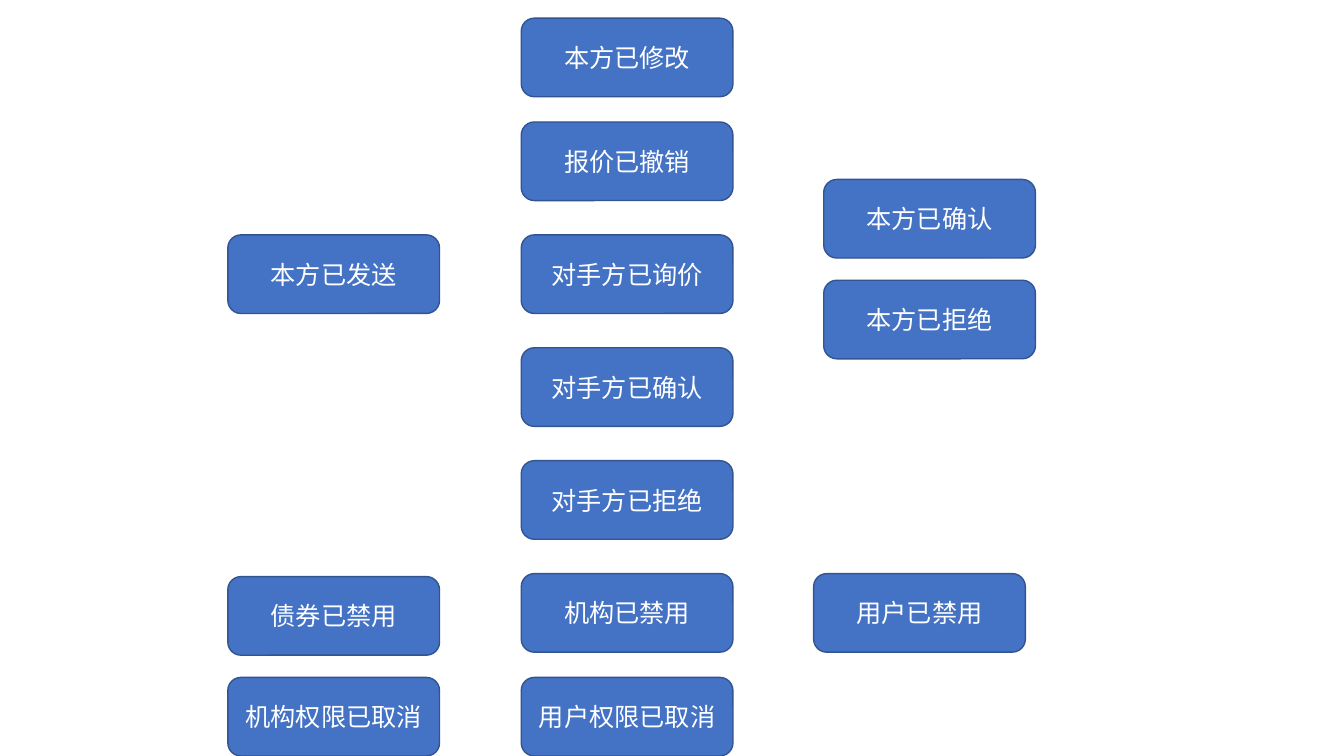
from typing import NamedTuple

from lxml import etree
from pptx import Presentation
from pptx.dml.color import RGBColor
from pptx.enum.shapes import MSO_SHAPE
from pptx.enum.text import MSO_ANCHOR, PP_ALIGN
from pptx.oxml.ns import qn
from pptx.util import Inches, Pt

ROUNDED = MSO_SHAPE.ROUNDED_RECTANGLE
MIDDLE = MSO_ANCHOR.MIDDLE
CENTER = PP_ALIGN.CENTER

COLORS = {"fill": "4472C4", "line": "325491", "text": "FFFFFF"}
FONT = "Noto Sans CJK SC"
FONT_FORMAT = {"name": FONT, "size": Pt(18)}
BOX_WIDTH, BOX_HEIGHT = 2.1, 0.78
LEFT, CENTRE, RIGHT = 2.26, 5.17, 8.17
QUOTE_TOP, QUOTE_STEP = 1.21, 1.12
CONFIRM_TOP = 1.78
DISABLED_TOP = 5.69
CANCELLED_TOP = 6.72


class Status(NamedTuple):
    text: str
    left: float
    top: float


def rgb(name: str) -> RGBColor:
    return RGBColor.from_string(COLORS[name])


def add_status(shapes, status: Status) -> None:
    sp = shapes.add_shape(ROUNDED, Inches(status.left), Inches(status.top),
                          Inches(BOX_WIDTH), Inches(BOX_HEIGHT))
    sp.shadow.inherit = False
    sp.fill.solid()
    sp.fill.fore_color.rgb = rgb("fill")
    sp.line.color.rgb = rgb("line")
    sp.line.width = Pt(1)
    tf = sp.text_frame
    tf.word_wrap = True
    tf.vertical_anchor = MIDDLE
    p = tf.paragraphs[0]
    p.alignment = CENTER
    r = p.add_run()
    r.text = status.text
    for key, value in FONT_FORMAT.items():
        setattr(r.font, key, value)
    r.font.color.rgb = rgb("text")
    etree.SubElement(r._r.get_or_add_rPr(), qn("a:ea"), typeface=FONT)


QUOTE_STATUSES = ["报价已撤销", "对手方已询价", "对手方已确认", "对手方已拒绝", "机构已禁用"]

STATUSES = [
    Status("本方已发送", LEFT, QUOTE_TOP + QUOTE_STEP),
    Status("本方已修改", CENTRE, 0.18),
    *(Status(text, CENTRE, QUOTE_TOP + i * QUOTE_STEP)
      for i, text in enumerate(QUOTE_STATUSES)),
    Status("本方已确认", RIGHT, CONFIRM_TOP),
    Status("本方已拒绝", RIGHT, CONFIRM_TOP + 1),
    Status("债券已禁用", LEFT, CANCELLED_TOP - 1),
    Status("用户已禁用", 8.07, DISABLED_TOP),
    Status("机构权限已取消", LEFT, CANCELLED_TOP),
    Status("用户权限已取消", CENTRE, CANCELLED_TOP),
]

prs = Presentation()
prs.slide_width, prs.slide_height = Inches(13.33), Inches(7.5)
s = prs.slides.add_slide(prs.slide_layouts[6])
for status in STATUSES:
    add_status(s.shapes, status)
prs.save("out.pptx")
